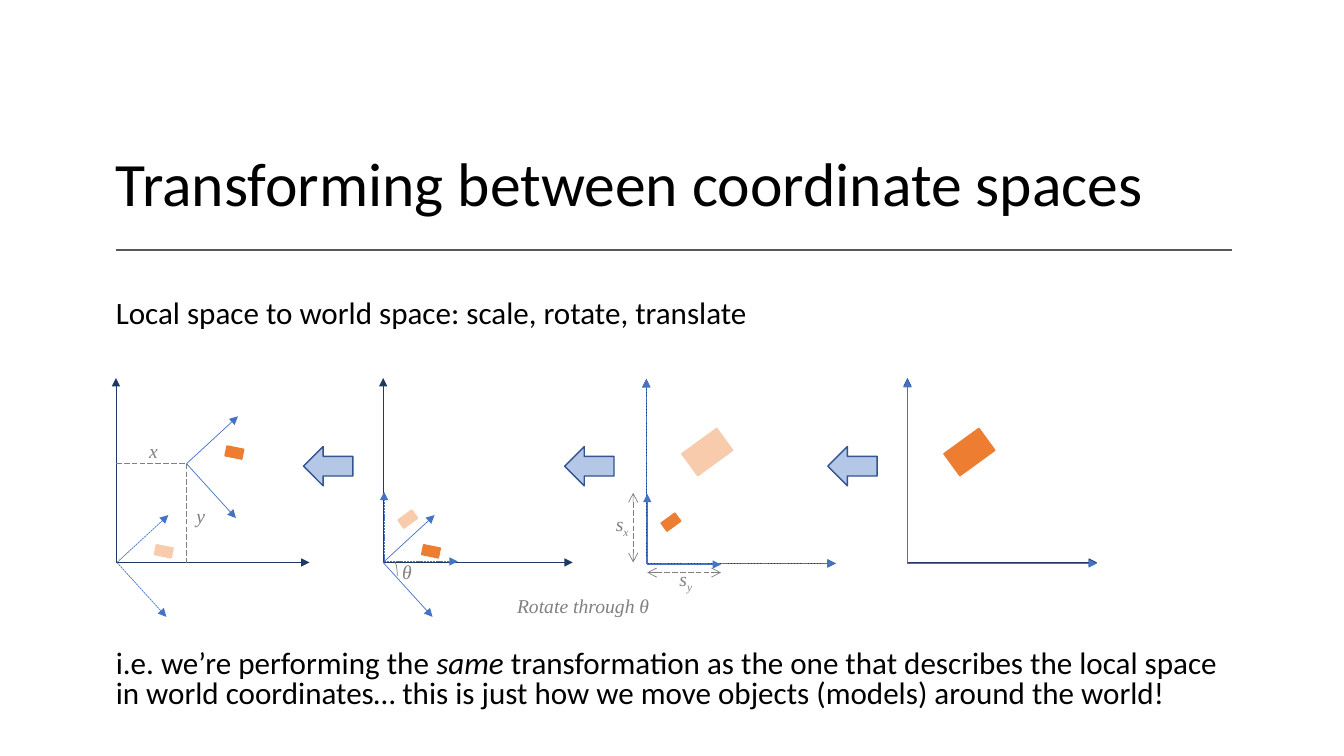
from pptx import Presentation
from pptx.dml.color import RGBColor
from pptx.enum.dml import MSO_LINE
from pptx.enum.shapes import MSO_CONNECTOR, MSO_SHAPE
from pptx.enum.text import MSO_ANCHOR, MSO_AUTO_SIZE, PP_ALIGN
from pptx.oxml.ns import qn
from pptx.util import Inches, Pt
from lxml.etree import SubElement

HUES = {
    "ink": "000000", "rule": "595959", "navy": "203864", "blue": "4472C4",
    "gray": "808080", "solid": "ED7D31", "faded": "F8CBAD",
    "pale": "B4C7E7", "edge": "325491",
}
DOTS = MSO_LINE.SQUARE_DOT
DASH = MSO_LINE.LONG_DASH


def put(item, values):
    for name, value in values.items():
        setattr(item, name, value)


class Board:
    body = {"name": "Calibri", "size": Pt(22.2)}
    head = {"name": "Calibri", "size": Pt(44)}
    note = {"name": "Times New Roman", "size": Pt(14), "italic": True}

    def __init__(self, slide):
        self.slide = slide
        self.home = slide.shapes

    def hue(self, name):
        return RGBColor.from_string(HUES[name])

    def group(self):
        self.home = self.slide.shapes.add_group_shape().shapes

    def fill(self, shape, name):
        shape.fill.solid()
        shape.fill.fore_color.rgb = self.hue(name)

    def edge(self, shape, name, width):
        shape.line.color.rgb = self.hue(name)
        shape.line.width = Pt(width)

    def run(self, para, text, style, color="ink"):
        run = para.add_run()
        run.text = text
        put(run.font, style)
        run.font.color.rgb = self.hue(color)
        return run

    def title(self, text, box):
        shape = self.slide.shapes.title
        put(shape, dict(zip(("left", "top", "width", "height"), map(Inches, box))))
        put(shape.text_frame, {"vertical_anchor": MSO_ANCHOR.BOTTOM,
                               "auto_size": MSO_AUTO_SIZE.NONE, "word_wrap": True})
        para = shape.text_frame.paragraphs[0]
        put(para, {"alignment": PP_ALIGN.LEFT, "line_spacing": 0.9})
        self.run(para, text, self.head)

    def text(self, box):
        frame = self.home.add_textbox(*map(Inches, box)).text_frame
        frame.word_wrap = True
        return frame

    def label(self, text, x, y, width=0.38, sub=""):
        frame = self.text((x, y, width, 0.34))
        frame.auto_size = MSO_AUTO_SIZE.SHAPE_TO_FIT_TEXT
        para = frame.paragraphs[0]
        self.run(para, text, self.note, "gray")
        if sub:
            low = self.run(para, sub, self.note, "gray")
            low.font._element.set("baseline", "-25000")

    def line(self, x, y, dx, dy, color, width=0.5, dash=None, **ends):
        line = self.home.add_connector(
            MSO_CONNECTOR.STRAIGHT, *map(Inches, (x, y, x + dx, y + dy)))
        self.edge(line, color, width)
        if dash:
            line.line.dash_style = dash
        pen = line.line._get_or_add_ln()
        for end in ("head", "tail"):
            if end in ends:
                SubElement(pen, qn(f"a:{end}End"), type=ends[end])
        SubElement(line._element.spPr, qn("a:effectLst"))

    def axes(self, x, y, color, right=1.88, up=1.83, dash=None):
        for dx, dy in ((0, -up), (right, 0)):
            self.line(x, y, dx, dy, color, dash=dash, tail="triangle")

    def tilt(self, x, y, dash=None):
        for dx, dy in ((0.51, -0.47), (0.49, 0.54)):
            self.line(x, y, dx, dy, "blue", dash=dash, tail="triangle")

    def shape(self, kind, box):
        shape = self.home.add_shape(kind, *map(Inches, box))
        shape.shadow.inherit = False
        return shape

    def block(self, x, y, color, turn, size=(0.17, 0.1)):
        block = self.shape(MSO_SHAPE.RECTANGLE, (x, y, *size))
        block.rotation = turn
        self.fill(block, color)
        self.edge(block, color, 1)

    def arrow(self, x):
        arrow = self.shape(MSO_SHAPE.LEFT_ARROW, (x, 4.43, 0.49, 0.39))
        self.fill(arrow, "pale")
        self.edge(arrow, "edge", 1)

    def arc(self, box):
        arc = self.shape(MSO_SHAPE.ARC, box)
        arc.fill.background()
        self.edge(arc, "gray", 0.5)


def main():
    deck = Presentation()
    put(deck, {"slide_width": Inches(13.33), "slide_height": Inches(7.5)})
    board = Board(deck.slides.add_slide(deck.slide_layouts[5]))
    down, up, big = 11.3, 324, (0.43, 0.27)

    board.title("Transforming between coordinate spaces", (1.05, 1.07, 11.58, 1.16))
    board.line(1.15, 2.48, 11.07, 0, "rule", 1.25)

    frame = board.text((1.05, 2.93, 11.24, 4.25))
    first, last = frame.paragraphs[0], frame.add_paragraph()
    put(first, {"line_spacing": 0.8})
    put(last, {"line_spacing": 0.8, "space_before": Pt(229)})
    board.run(first, "Local space to world space: scale, rotate, translate", board.body)
    board.run(last, "i.e. we’re performing the ", board.body)
    board.run(last, "same", {**board.body, "italic": True})
    board.run(last, " transformation as the one that describes the local space in world "
              "coordinates… this is just how we move objects (models) around the world!",
              board.body)

    board.group()
    board.tilt(1.85, 4.6)
    board.block(2.24, 4.44, "solid", down)
    board.axes(1.15, 5.58, "navy", right=1.92)
    board.line(1.15, 4.6, 0.7, 0, "gray", dash=DASH)
    board.line(1.85, 4.6, 0, 0.99, "gray", dash=DASH)
    board.label("x", 1.38, 4.31)
    board.label("y", 1.85, 4.95)
    board.arrow(3.01)
    board.tilt(1.16, 5.58, DOTS)
    board.block(1.54, 5.42, "faded", down)

    board.group()
    board.axes(3.8, 5.58, "navy")
    board.tilt(3.8, 5.58)
    board.block(4.19, 5.42, "solid", down)
    board.label("θ", 3.89, 5.51, 0.29)
    board.arc((3.89, 5.58, 0.05, 0.27))
    board.arrow(5.6)
    board.axes(3.81, 5.57, "blue", 0.73, 0.69, DOTS)
    board.block(3.96, 5.1, "faded", up)
    board.label("Rotate through θ", 5.03, 5.84, 1.64)

    board.group()
    board.axes(9, 5.58, "navy")
    board.axes(9, 5.59, "blue")
    board.block(9.4, 4.35, "solid", up, big)

    board.group()
    board.axes(6.41, 5.59, "navy")
    board.axes(6.42, 5.6, "blue", 0.73, 0.7)
    board.block(6.57, 5.13, "solid", up)
    board.arrow(8.21)
    board.axes(6.41, 5.59, "blue", dash=DOTS)
    board.block(6.8, 4.35, "faded", up, big)
    board.label("s", 6.01, 5.03, 0.36, "x")
    board.label("s", 6.64, 5.58, 0.36, "y")
    board.line(6.28, 4.89, 0, 0.69, "gray", dash=DASH, head="arrow", tail="arrow")
    board.line(6.42, 5.68, 0.73, 0, "gray", dash=DASH, head="arrow", tail="arrow")

    deck.save("out.pptx")


if __name__ == "__main__":
    main()
